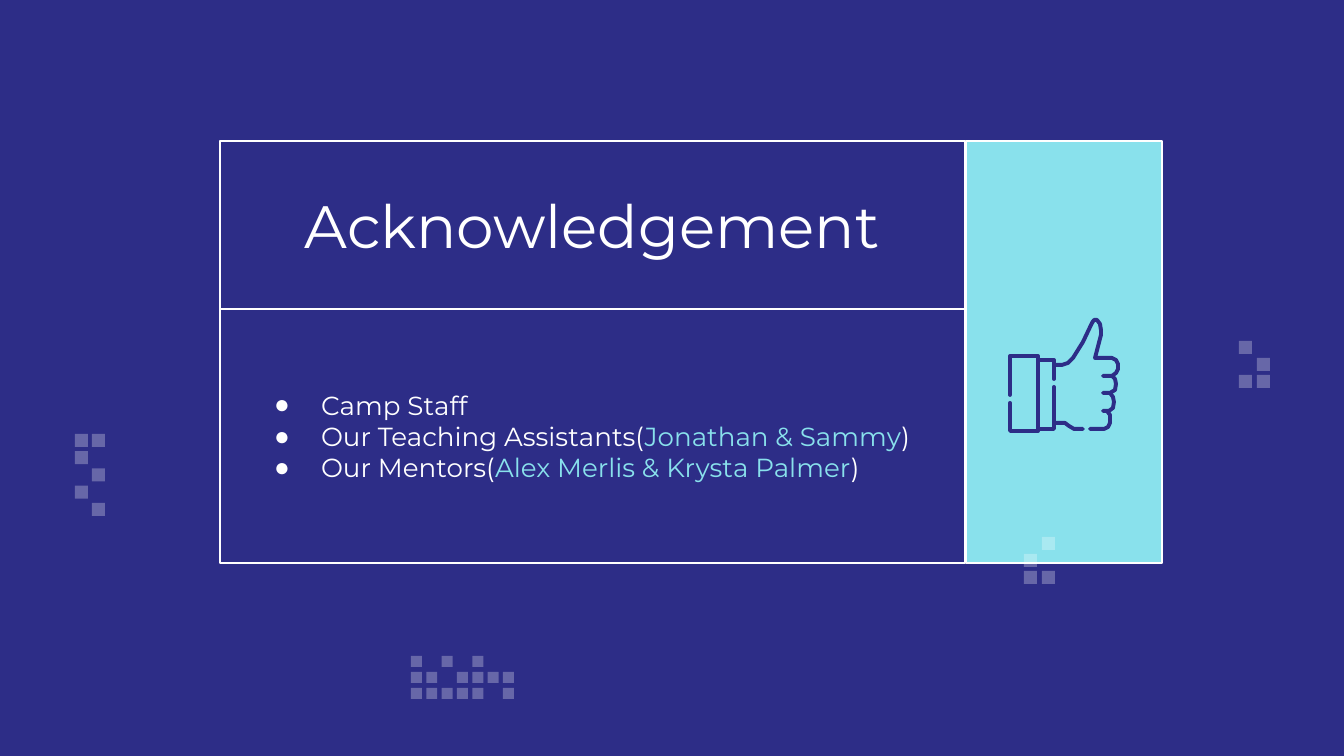
import dataclasses

import lxml.etree
import pptx
import pptx.dml.color
import pptx.enum.shapes
import pptx.enum.text
import pptx.oxml.ns
import pptx.util

EMU_PER_PX = 9144000 / 1344


def px(length):
    return pptx.util.Emu(round(length * EMU_PER_PX))


def rgb(code):
    return pptx.dml.color.RGBColor.from_string(code)


def add_xml(parent, tag, **attributes):
    return lxml.etree.SubElement(parent, pptx.oxml.ns.qn(tag), attributes)


@dataclasses.dataclass(frozen=True)
class Theme:
    navy: str = "2D2D87"
    aqua: str = "89E1EC"
    white: str = "FFFFFF"
    font: str = "Montserrat"
    title_size: int = 32
    list_size: int = 14
    border: float = 0.75
    icon_stroke: float = 2.1
    pixel_opacity: str = "28000"


class Composer:
    def __init__(self, slide, theme):
        self.slide = slide
        self.theme = theme
        slide.background.fill.solid()
        slide.background.fill.fore_color.rgb = rgb(theme.navy)

    def paint(self, shape, color):
        shape.fill.solid()
        shape.fill.fore_color.rgb = rgb(color)
        shape.line.color.rgb = rgb(self.theme.white)
        shape.line.width = pptx.util.Pt(self.theme.border)

    def panel(self, left, top, width, height, color):
        panel = self.slide.shapes.add_shape(
            pptx.enum.shapes.MSO_SHAPE.RECTANGLE, px(left), px(top), px(width), px(height))
        panel.shadow.inherit = False
        self.paint(panel, color)

    def text_panel(self, holder, left, top, width, height, inset):
        holder.left, holder.top = px(left), px(top)
        holder.width, holder.height = px(width), px(height)
        self.paint(holder, self.theme.navy)
        frame = holder.text_frame
        frame.word_wrap = True
        frame.auto_size = pptx.enum.text.MSO_AUTO_SIZE.NONE
        frame.vertical_anchor = pptx.enum.text.MSO_ANCHOR.MIDDLE
        frame.margin_left = frame.margin_right = px(inset)
        frame.margin_top = frame.margin_bottom = px(inset)
        return frame

    def format(self, paragraph, size, alignment):
        paragraph.alignment = alignment
        paragraph.line_spacing = 1.0
        paragraph.space_before = paragraph.space_after = pptx.util.Pt(0)
        paragraph.font.name = self.theme.font
        paragraph.font.size = pptx.util.Pt(size)

    def title(self, text, *box, inset):
        heading = self.text_panel(self.slide.shapes.title, *box, inset).paragraphs[0]
        heading.text = text
        self.format(heading, self.theme.title_size, pptx.enum.text.PP_ALIGN.CENTER)
        heading.font.color.rgb = rgb(self.theme.white)

    def bullets(self, items, *box, inset, margin, hanging):
        frame = self.text_panel(self.slide.placeholders[1], *box, inset)
        for index, item in enumerate(items):
            entry = frame.add_paragraph() if index else frame.paragraphs[0]
            properties = entry._p.get_or_add_pPr()
            properties.set("marL", str(px(margin)))
            properties.set("indent", str(-px(hanging)))
            bullet_color = add_xml(properties, "a:buClr")
            add_xml(bullet_color, "a:srgbClr", val=self.theme.white)
            add_xml(properties, "a:buChar", char="●")
            self.format(entry, self.theme.list_size, pptx.enum.text.PP_ALIGN.LEFT)
            for part, color in zip(item, (self.theme.white, self.theme.aqua, self.theme.white)):
                run = entry.add_run()
                run.text = part
                run.font.color.rgb = rgb(color)

    def pixels(self, pattern, left, top, width, height, size):
        group = self.slide.shapes.add_group_shape()
        column_gap = (width - size) / (len(pattern[0]) - 1)
        row_gap = (height - size) / (len(pattern) - 1)
        for row, cells in enumerate(pattern):
            for column, cell in enumerate(cells):
                if cell != "#":
                    continue
                pixel = group.shapes.add_shape(
                    pptx.enum.shapes.MSO_SHAPE.RECTANGLE,
                    px(left + column * column_gap), px(top + row * row_gap), px(size), px(size))
                pixel.shadow.inherit = False
                pixel.fill.solid()
                pixel.fill.fore_color.rgb = rgb(self.theme.white)
                color = next(pixel._element.spPr.iter(pptx.oxml.ns.qn("a:srgbClr")))
                add_xml(color, "a:alpha", val=self.theme.pixel_opacity)
                pixel.line.fill.background()

    def line_icon(self, strokes):
        builder = self.slide.shapes.build_freeform(*strokes[0][0], scale=EMU_PER_PX)
        for index, (start, *rest) in enumerate(strokes):
            if index:
                builder.move_to(*start)
            builder.add_line_segments(rest, close=False)
        icon = builder.convert_to_shape()
        icon.shadow.inherit = False
        icon.fill.background()
        icon.line.color.rgb = rgb(self.theme.navy)
        icon.line.width = pptx.util.Pt(self.theme.icon_stroke)
        outline = icon._element.spPr.find(pptx.oxml.ns.qn("a:ln"))
        outline.set("cap", "rnd")
        add_xml(outline, "a:round")


THANKS = [
    ("Camp Staff",),
    ("Our Teaching Assistants(", "Jonathan & Sammy", ")"),
    ("Our Mentors(", "Alex Merlis & Krysta Palmer", ")"),
]

LEFT_PIXELS = ["##", "#.", ".#", "#.", ".#"]
RIGHT_PIXELS = ["#.", ".#", "##"]
BOTTOM_PIXELS = ["#.#.#..", "##.####", "#####.#"]
CORNER_PIXELS = [".#", "#.", "##"]

CUFF = [(1010, 395), (1010, 356), (1038, 356), (1038, 431), (1010, 431), (1010, 403)]
BAND_TOP = [(1038, 360), (1054, 360), (1054, 379)]
BAND_BOTTOM = [(1054, 387), (1054, 429), (1038, 429)]
PALM = [(1054, 423), (1065, 423), (1069, 426), (1074, 429), (1083, 429)]
THUMB = [(1054, 365), (1062, 365), (1068, 363), (1073, 358), (1083, 342), (1092, 323),
         (1094, 320), (1097, 320), (1100, 324), (1101, 330), (1101, 335), (1095, 358),
         (1112, 358), (1116, 360), (1118, 364), (1118, 369), (1116, 373), (1112, 376),
         (1103, 376)]
INDEX_FINGER = [(1112, 376), (1115, 379), (1116, 384), (1115, 390), (1110, 393), (1103, 393)]
MIDDLE_FINGER = [(1110, 393), (1113, 397), (1114, 402), (1113, 408), (1109, 411), (1103, 411)]
LITTLE_FINGER = [(1107, 411), (1110, 415), (1110, 423), (1108, 427), (1104, 429), (1090, 429)]
THUMBS_UP = [CUFF, BAND_TOP, BAND_BOTTOM, PALM, THUMB,
             INDEX_FINGER, MIDDLE_FINGER, LITTLE_FINGER]


def main():
    deck = pptx.Presentation()
    deck.slide_width, deck.slide_height = px(1344), px(756)
    theme = Theme()
    page = Composer(deck.slides.add_slide(deck.slide_layouts[1]), theme)
    page.pixels(LEFT_PIXELS, 75, 434, 30, 82, size=13)
    page.pixels(RIGHT_PIXELS, 1239, 341, 31, 47, size=13)
    page.pixels(BOTTOM_PIXELS, 411, 656, 103, 43, size=11)
    page.title("Acknowledgement", 220, 141, 745, 168, inset=13)
    page.bullets(THANKS, 220, 309, 745, 254, inset=34, margin=67, hanging=47)
    page.panel(966, 141, 196, 422, theme.aqua)
    page.line_icon(THUMBS_UP)
    page.pixels(CORNER_PIXELS, 1024, 537, 31, 47, size=13)
    deck.save("out.pptx")


if __name__ == "__main__":
    main()
